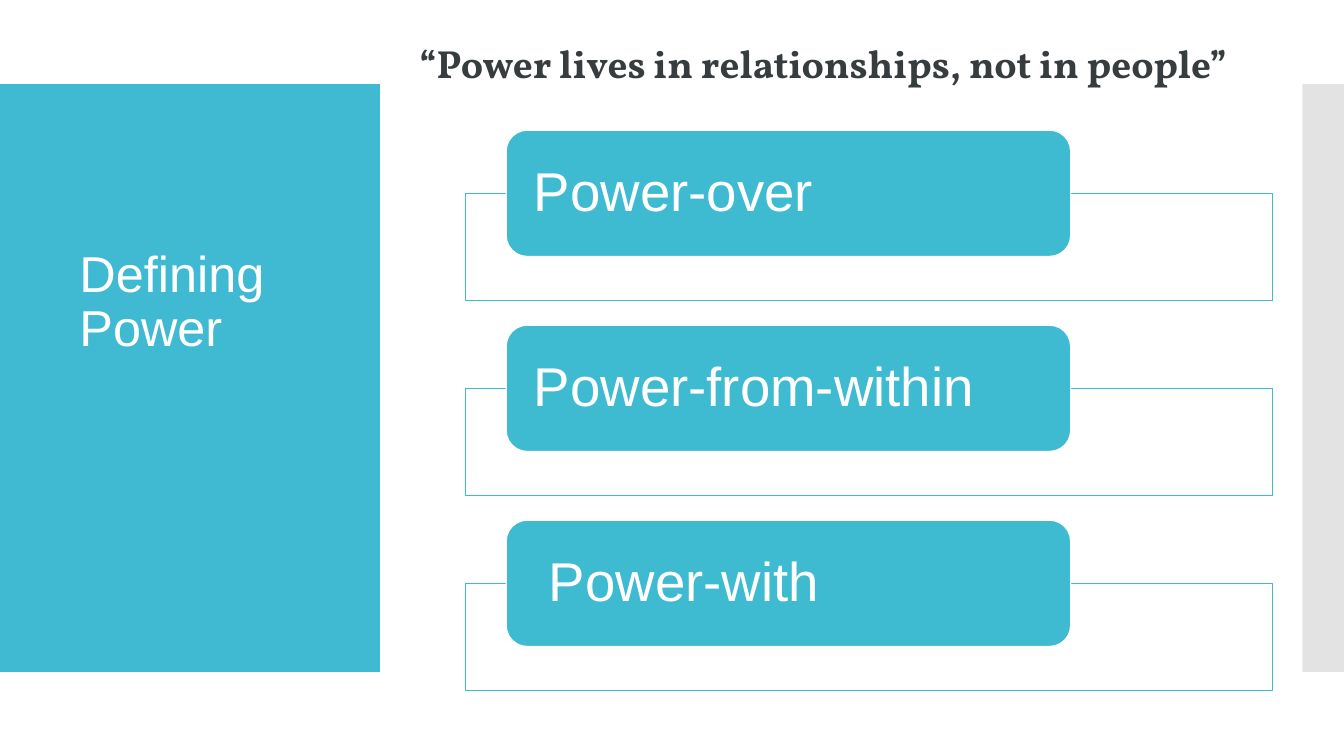
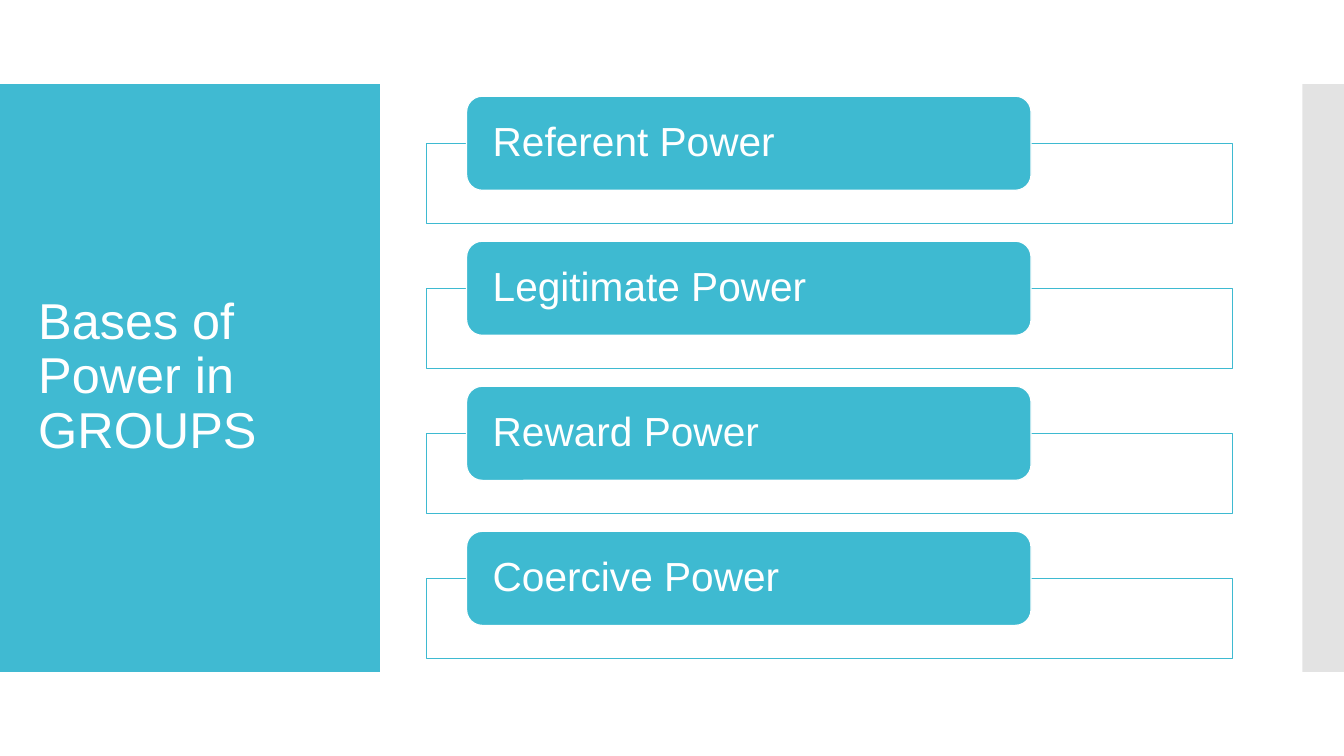
from pptx import Presentation
from pptx.dml.color import RGBColor
from pptx.enum.shapes import MSO_SHAPE
from pptx.enum.text import MSO_ANCHOR, PP_ALIGN
from pptx.oxml.ns import qn
from pptx.util import Pt
from lxml import etree

RECTANGLE = MSO_SHAPE.RECTANGLE
ROUNDED = MSO_SHAPE.ROUNDED_RECTANGLE
MIDDLE = MSO_ANCHOR.MIDDLE
TOP = MSO_ANCHOR.TOP
LEFT = PP_ALIGN.LEFT

COLORS = {
    "panel": "40BAD2",
    "accent": "3EBAD1",
    "edge": "C8C8C8",
    "white": "FFFFFF",
    "ink": "373D3F",
}
TITLE_FONT = {"name": "Arial", "size": Pt(36), "bold": False}
QUOTE_FONT = {"name": "Vollkorn", "size": Pt(28), "bold": True}

BAND_TOP, BAND_HEIGHT = 60, 420
BAR_WIDTH, OUTLINE_WIDTH, BAR_OFFSET = 403.2, 576, 28.8
OUTLINE_RATIO = 0.85  # outline height relative to bar height
LINE_WIDTH = 0.85


def color(name):
    return RGBColor.from_string(COLORS[name])


def add_box(slide, kind, frame, fill, line=None, opacity=100):
    """Add a filled shape; frame is left, top, width and height in points."""
    shape = slide.shapes.add_shape(kind, *map(Pt, frame))
    shape.shadow.inherit = False
    shape.fill.solid()
    shape.fill.fore_color.rgb = color(fill)
    if opacity < 100:
        fill_color = shape._element.spPr.find(qn("a:solidFill"))[0]
        etree.SubElement(fill_color, qn("a:alpha"), val=str(opacity * 1000))
    if line:
        shape.line.color.rgb = color(line)
        shape.line.width = Pt(LINE_WIDTH)
    else:
        shape.line.fill.background()
    return shape


def write(shape, text, font, font_color, margins, anchor=MIDDLE, spacing=0.9, indent=0):
    """Fill a shape with one paragraph; margins are horizontal and vertical."""
    horizontal, vertical = map(Pt, margins)
    frame = shape.text_frame
    frame_format = {
        "word_wrap": True,
        "vertical_anchor": anchor,
        "margin_left": horizontal,
        "margin_right": horizontal,
        "margin_top": vertical,
        "margin_bottom": vertical,
    }
    for name, value in frame_format.items():
        setattr(frame, name, value)
    paragraph = frame.paragraphs[0]
    paragraph.text = text
    paragraph.alignment = LEFT
    paragraph.line_spacing = spacing
    if indent:
        paragraph._p.get_or_add_pPr().set("marL", str(Pt(indent)))
    for name, value in font.items():
        setattr(paragraph.font, name, value)
    paragraph.font.color.rgb = color(font_color)


def add_title(slide, text, left, top):
    box = slide.shapes.add_textbox(*map(Pt, (left, top, 231.8, 362.2)))
    write(box, text, TITLE_FONT, "white", (7.2, 3.6))


def add_quote(slide, text):
    box = slide.shapes.add_textbox(*map(Pt, (292.3, 20.9, 632.2, 48.2)))
    write(box, text, QUOTE_FONT, "ink", (7.2, 7.2), anchor=TOP, spacing=1.0)


def add_bar_list(slide, labels, left, top, pitch, bar_height, size):
    """Stack labelled bars, each over an outline; labels pair text and indent."""
    font = {"name": "Arial", "size": Pt(size), "bold": False}
    for row, (label, indent) in enumerate(labels):
        bar_top = top + row * pitch
        outline = (left, bar_top + bar_height / 2, OUTLINE_WIDTH, bar_height * OUTLINE_RATIO)
        add_box(slide, RECTANGLE, outline, "white", "accent", opacity=90)
        bar_frame = (left + BAR_OFFSET, bar_top, BAR_WIDTH, bar_height)
        bar = add_box(slide, ROUNDED, bar_frame, "accent", "white")
        write(bar, label, font, "white", (15.4, 0), indent=indent)


def add_themed_slide(presentation):
    slide = presentation.slides.add_slide(presentation.slide_layouts[6])
    add_box(slide, RECTANGLE, (0, BAND_TOP, 271.3, BAND_HEIGHT), "panel")
    add_box(slide, RECTANGLE, (930.3, BAND_TOP, 29.7, BAND_HEIGHT), "edge", opacity=50)
    return slide


def main():
    presentation = Presentation()
    presentation.slide_width, presentation.slide_height = Pt(960), Pt(540)

    slide = add_themed_slide(presentation)
    add_title(slide, "Defining Power", left=49.7, top=35.4)
    kinds = [("Power-over", 0), ("Power-from-within", 0), ("Power-with", 10.8)]
    add_bar_list(slide, kinds, left=332.8, top=93, pitch=139.3, bar_height=90.2, size=39)
    add_quote(slide, "“Power lives in relationships, not in people”")

    slide = add_themed_slide(presentation)
    add_title(slide, "Bases of Power in GROUPS", left=20.2, top=88.6)
    bases = [(f"{basis} Power", 0) for basis in ("Referent", "Legitimate", "Reward", "Coercive")]
    add_bar_list(slide, bases, left=304.5, top=68.7, pitch=103.6, bar_height=67.2, size=29)

    presentation.save("out.pptx")


if __name__ == "__main__":
    main()
